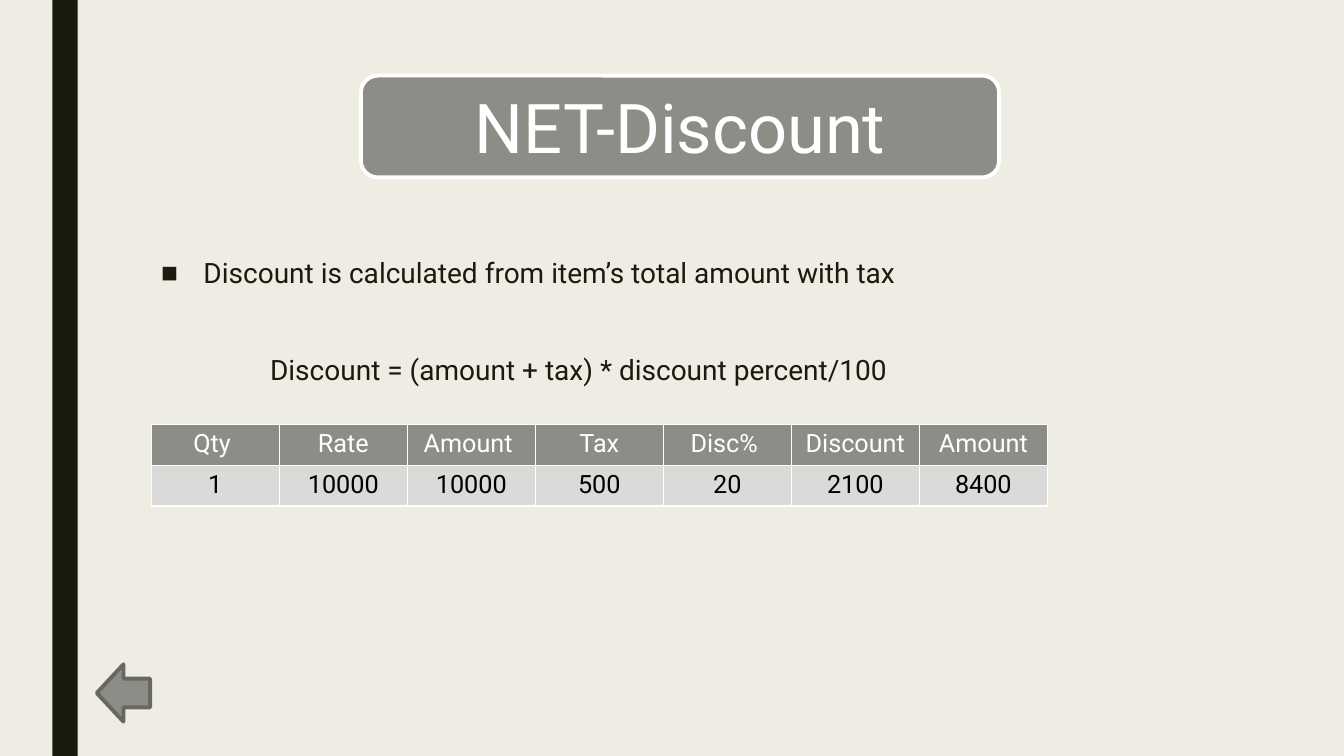
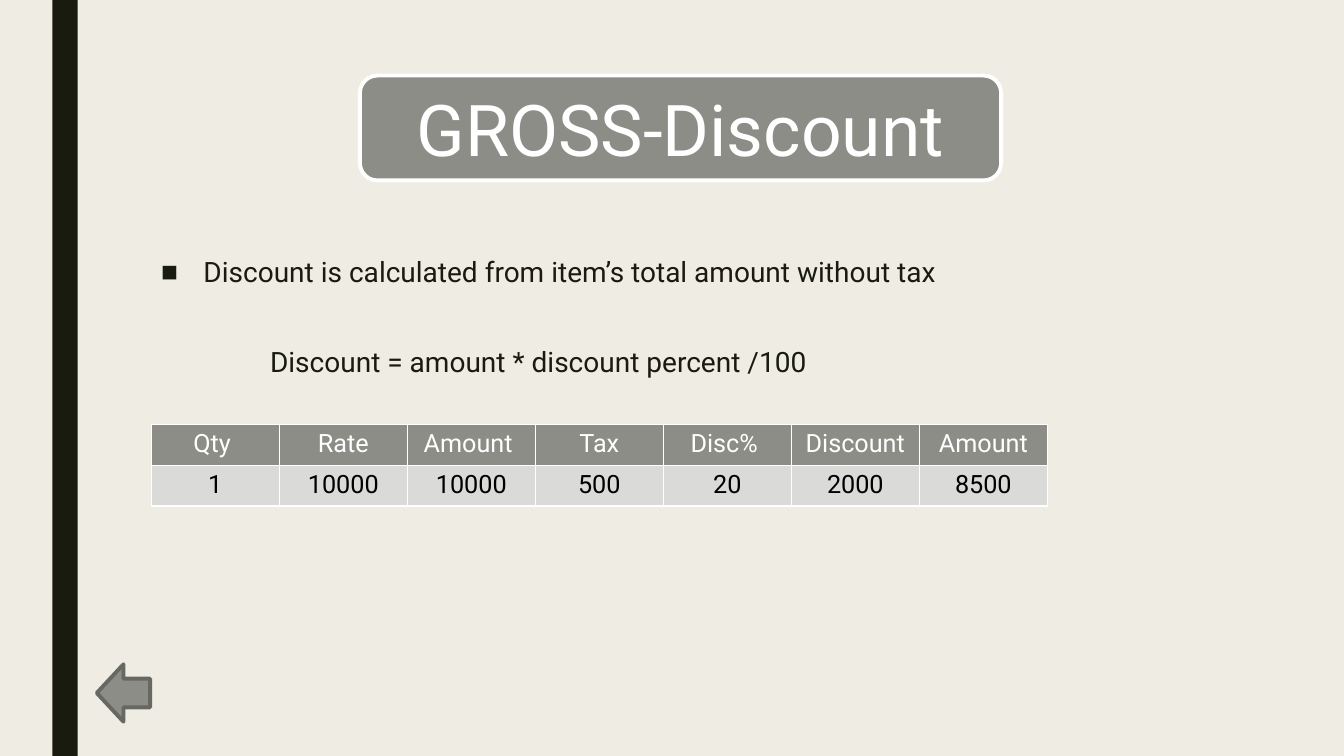
import lxml.etree
import pptx
import pptx.dml.color
import pptx.enum.shapes
import pptx.enum.text
import pptx.oxml.ns
import pptx.util

Inches = pptx.util.Inches
Pt = pptx.util.Pt
RGBColor = pptx.dml.color.RGBColor
Shape = pptx.enum.shapes.MSO_SHAPE
Align = pptx.enum.text.PP_ALIGN
qn = pptx.oxml.ns.qn

CREAM = RGBColor(0xEF, 0xED, 0xE3)
INK = RGBColor(0x19, 0x1B, 0x0E)
GRAY = RGBColor(0x8C, 0x8D, 0x86)
DARK_GRAY = RGBColor(0x68, 0x68, 0x63)
PALE_GRAY = RGBColor(0xDA, 0xDB, 0xD9)
WHITE = RGBColor(0xFF, 0xFF, 0xFF)
BLACK = RGBColor(0x00, 0x00, 0x00)

FONT = "Roboto"
OUTLINE = Pt(2.75)
HEADERS = ("Qty ", "Rate", "Amount ", "Tax", "Disc% ", "Discount", "Amount")

DISCOUNTS = (
    {
        "title": "NET-Discount",
        "title_box": (3.58, 0.75, 6.33, 1.01),
        "title_size": 49,
        "rule": "Discount is calculated from item’s total amount with tax",
        "formula": "Discount = (amount + tax) * discount percent/100",
        "body_top": 2.51,
        "formula_gap": 45,
        "values": ("1", "10000", "10000", "500", "20", "2100", "8400"),
    },
    {
        "title": "GROSS-Discount",
        "title_box": (3.57, 0.75, 6.36, 1.04),
        "title_size": 51,
        "rule": "Discount is calculated from item’s total amount without tax",
        "formula": "Discount = amount * discount percent /100",
        "body_top": 2.5,
        "formula_gap": 40,
        "values": ("1", "10000", "10000", "500", "20", "2000", "8500"),
    },
)


def apply_format(target, values):
    """Set each named attribute of the target."""
    for name, value in values.items():
        setattr(target, name, value)


def write(paragraph, text, size, color, **paragraph_format):
    """Write one formatted run and format its paragraph."""
    run = paragraph.add_run()
    run.text = text
    apply_format(run.font, {"name": FONT, "size": Pt(size)})
    run.font.color.rgb = color
    apply_format(paragraph, paragraph_format)


def add_shape(slide, kind, box, fill, line=None):
    """Add a flat preset shape in the given box."""
    shape = slide.shapes.add_shape(kind, *map(Inches, box))
    shape.shadow.inherit = False
    shape.fill.solid()
    shape.fill.fore_color.rgb = fill
    if line is None:
        shape.line.fill.background()
    else:
        shape.line.color.rgb = line
        shape.line.width = OUTLINE
    return shape


def add_title(slide, box, text, size):
    """Add the rounded title plate."""
    plate = add_shape(slide, Shape.ROUNDED_RECTANGLE, box, GRAY, WHITE)
    apply_format(plate.text_frame, {
        "margin_top": 0,
        "margin_bottom": 0,
        "vertical_anchor": pptx.enum.text.MSO_ANCHOR.MIDDLE,
    })
    write(plate.text_frame.paragraphs[0], text, size, WHITE, alignment=Align.CENTER)


def indent(paragraph, left, first=0, bullet=None):
    """Indent a paragraph and give it a bullet if one is named."""
    properties = paragraph._p.get_or_add_pPr()
    properties.set("marL", str(Inches(left)))
    properties.set("indent", str(Inches(first)))
    if bullet:
        lxml.etree.SubElement(properties, qn("a:buFont")).set("typeface", "Arial")
        lxml.etree.SubElement(properties, qn("a:buChar")).set("char", bullet)


def add_body(slide, box, rule, formula, formula_gap):
    """Add the bulleted rule and the indented formula below it."""
    frame = slide.shapes.add_textbox(*map(Inches, box)).text_frame
    frame.word_wrap = True
    spacing = {"line_spacing": 0.94, "space_after": Pt(2)}
    rule_paragraph = frame.paragraphs[0]
    write(rule_paragraph, rule, 20, INK, **spacing)
    indent(rule_paragraph, 0.42, -0.42, "■")
    formula_paragraph = frame.add_paragraph()
    write(formula_paragraph, formula, 20, INK, space_before=Pt(formula_gap), **spacing)
    indent(formula_paragraph, 1.08)


def add_borders(cell, color, width):
    """Draw all four borders of a table cell."""
    properties = cell._tc.get_or_add_tcPr()
    for side in ("a:lnL", "a:lnR", "a:lnT", "a:lnB"):
        line = lxml.etree.SubElement(properties, qn(side), w=str(width))
        fill = lxml.etree.SubElement(line, qn("a:solidFill"))
        lxml.etree.SubElement(fill, qn("a:srgbClr"), val=str(color))


def add_example(slide, box, values):
    """Add the worked example table with its header row."""
    rows = ((HEADERS, GRAY, WHITE), (values, PALE_GRAY, BLACK))
    table = slide.shapes.add_table(len(rows), len(HEADERS), *map(Inches, box)).table
    for row, (texts, fill, color) in enumerate(rows):
        for column, text in enumerate(texts):
            cell = table.cell(row, column)
            add_borders(cell, WHITE, Pt(1))
            cell.fill.solid()
            cell.fill.fore_color.rgb = fill
            write(cell.text_frame.paragraphs[0], text, 18, color, alignment=Align.CENTER)


def add_discount_slide(presentation, discount):
    """Build one slide that explains a kind of discount."""
    slide = presentation.slides.add_slide(presentation.slide_layouts[6])
    add_shape(slide, Shape.RECTANGLE, (0.52, 0, 0.25, 7.5), INK)
    add_title(slide, discount["title_box"], discount["title"], discount["title_size"])
    add_body(slide, (1.5, discount["body_top"], 10.5, 3.92),
             discount["rule"], discount["formula"], discount["formula_gap"])
    add_example(slide, (1.5, 4.21, 8.89, 0.81), discount["values"])
    add_shape(slide, Shape.LEFT_ARROW, (0.96, 6.59, 0.53, 0.57), GRAY, DARK_GRAY)


def main():
    """Build and save the presentation."""
    presentation = pptx.Presentation()
    apply_format(presentation, {"slide_width": Inches(13.33), "slide_height": Inches(7.5)})
    background = presentation.slide_master.background.fill
    background.solid()
    background.fore_color.rgb = CREAM
    for discount in DISCOUNTS:
        add_discount_slide(presentation, discount)
    presentation.save("out.pptx")


if __name__ == "__main__":
    main()
